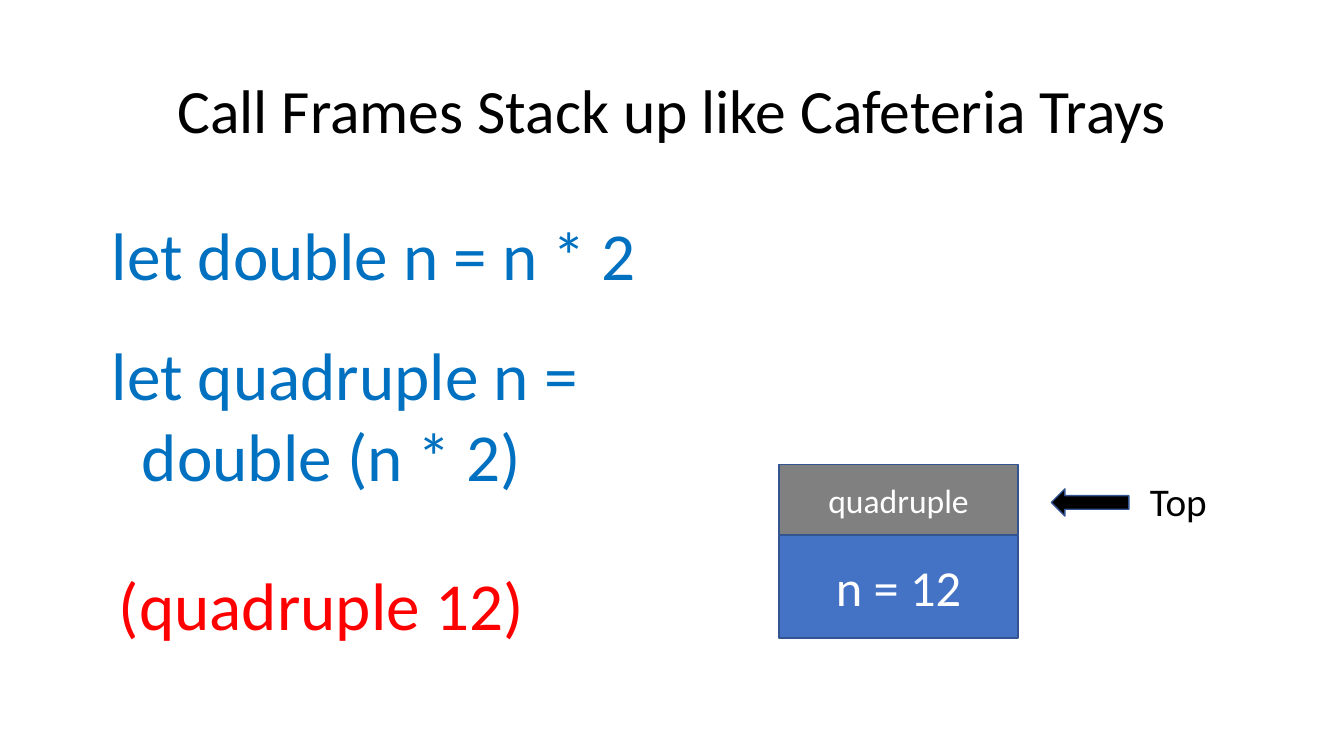
from dataclasses import dataclass

import pptx
import pptx.dml.color
import pptx.enum.shapes
import pptx.enum.text
import pptx.util

SHAPE = pptx.enum.shapes.MSO_SHAPE
ANCHOR = pptx.enum.text.MSO_ANCHOR
ALIGN = pptx.enum.text.PP_ALIGN

COLUMNS, ROWS = 40, 22.5
CELL = pptx.util.Inches(1) / 3


@dataclass(frozen=True)
class Theme:
    """Font, colours and type sizes of the slide."""
    font: str = "Calibri"
    black: str = "000000"
    white: str = "FFFFFF"
    definition: str = "0070C0"
    call: str = "FF0000"
    frame_name: str = "808080"
    frame_values: str = "4472C4"
    outline: str = "325491"
    title_size: int = 44
    code_size: int = 48
    values_size: int = 36
    pointer_size: int = 28
    name_size: int = 24


THEME = Theme()


def cells(*counts):
    """Turn counts of grid cells into lengths."""
    return [pptx.util.Emu(round(count * CELL)) for count in counts]


def rgb(code):
    """Return the colour for a hex code."""
    return pptx.dml.color.RGBColor.from_string(code)


def write(shape, *lines, size, color, align=ALIGN.LEFT, anchor=ANCHOR.TOP,
          wrap=True, spacing=None, indent=0):
    """Write lines into a shape; lines after the first are indented by cells."""
    frame = shape.text_frame
    frame.word_wrap = wrap
    frame.vertical_anchor = anchor
    for number, line in enumerate(lines):
        paragraph = frame.add_paragraph() if number else frame.paragraphs[0]
        paragraph.alignment = align
        paragraph.line_spacing = spacing
        if number and indent:
            paragraph._p.get_or_add_pPr().set("marL", str(cells(indent)[0]))
        run = paragraph.add_run()
        run.text = line
        run.font.name = THEME.font
        run.font.size = pptx.util.Pt(size)
        run.font.color.rgb = rgb(color)


def add_text(shapes, box, *lines, **text_format):
    """Add a text box placed on the grid."""
    write(shapes.add_textbox(*cells(*box)), *lines, **text_format)


def add_block(shapes, preset, box, fill):
    """Add a filled, outlined preset shape placed on the grid."""
    block = shapes.add_shape(preset, *cells(*box))
    block.shadow.inherit = False
    block.fill.solid()
    block.fill.fore_color.rgb = rgb(fill)
    block.line.color.rgb = rgb(THEME.outline)
    block.line.width = pptx.util.Pt(1)
    return block


def add_call_frame(shapes, left, top, width, parts):
    """Stack the parts of a call frame downwards."""
    for label, height, fill, size in parts:
        part = add_block(shapes, SHAPE.RECTANGLE, (left, top, width, height), fill)
        write(part, label, size=size, color=THEME.white,
              align=ALIGN.CENTER, anchor=ANCHOR.MIDDLE)
        top += height


def add_pointer(shapes, left, top, label):
    """Add a grouped label with an arrow on its left."""
    pointer = shapes.add_group_shape().shapes
    add_text(pointer, (left + 2.64, top, 2.31, 1.71), label,
             size=THEME.pointer_size, color=THEME.black, wrap=False)
    add_block(pointer, SHAPE.LEFT_ARROW, (left, top + 0.48, 2.31, 0.81), THEME.black)


def main():
    """Build and save the slide."""
    deck = pptx.Presentation()
    deck.slide_width, deck.slide_height = cells(COLUMNS, ROWS)
    shapes = deck.slides.add_slide(deck.slide_layouts[6]).shapes

    add_text(shapes, (2.76, 1.2, 34.5, 4.35),
             "Call Frames Stack up like Cafeteria Trays",
             size=THEME.title_size, color=THEME.black, align=ALIGN.CENTER,
             anchor=ANCHOR.MIDDLE, spacing=0.9)

    code = (
        ((3.03, 6.21, 17.46, 2.73), ["let double n = n * 2"], THEME.definition),
        ((3.24, 16.62, 12.96, 2.73), ["(quadruple 12)"], THEME.call),
        ((3.03, 9.78, 16.08, 5.16), ["let quadruple n =", "double (n * 2)"],
         THEME.definition),
    )
    for box, lines, color in code:
        add_text(shapes, box, *lines, size=THEME.code_size, color=color, indent=0.9)

    add_call_frame(shapes, 23.19, 13.83, 7.11, (
        ("quadruple", 2.1, THEME.frame_name, THEME.name_size),
        ("n = 12", 3.06, THEME.frame_values, THEME.values_size),
    ))
    add_pointer(shapes, 31.29, 14.07, "Top")

    deck.save("out.pptx")


main()
